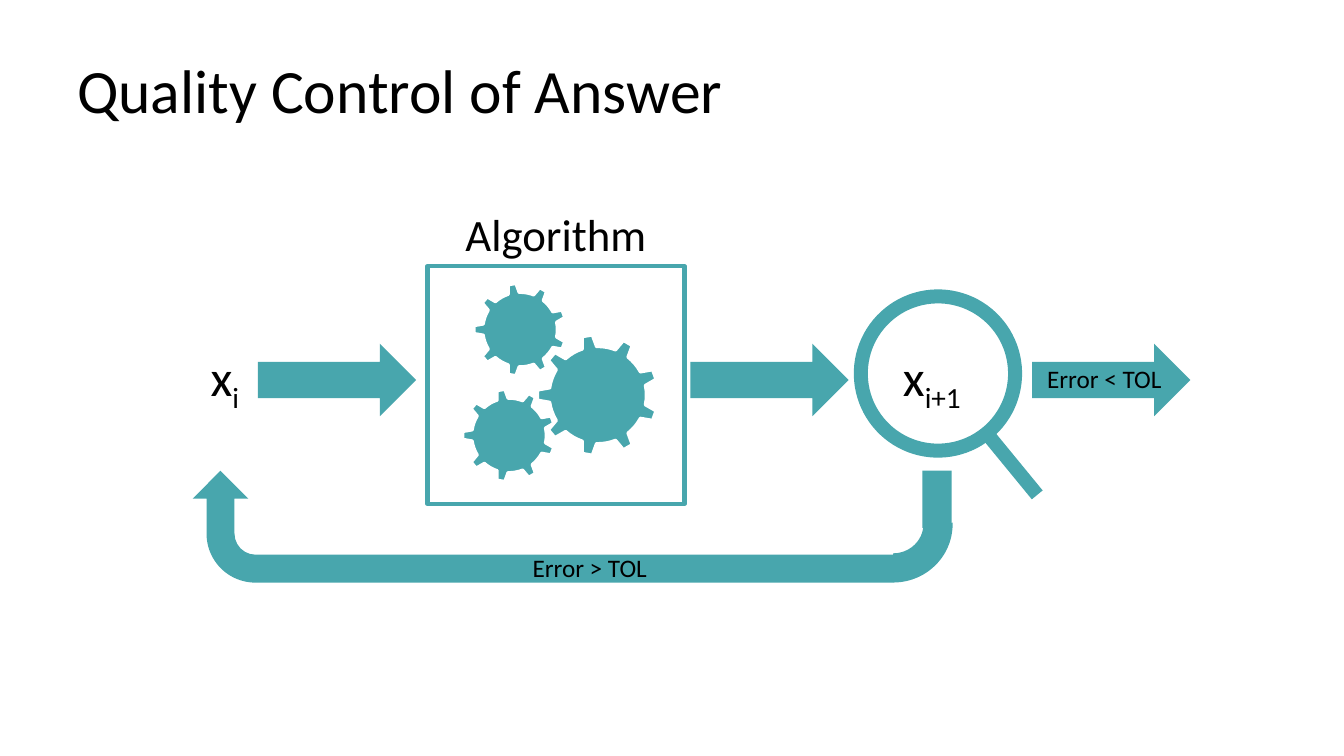
from lxml import etree
from pptx import Presentation
from pptx.dml.color import RGBColor
from pptx.enum.shapes import MSO_CONNECTOR, MSO_SHAPE
from pptx.enum.text import MSO_ANCHOR, MSO_AUTO_SIZE, PP_ALIGN
from pptx.oxml.ns import qn
from pptx.util import Pt

LEFT, CENTER = PP_ALIGN.LEFT, PP_ALIGN.CENTER
TOP, MIDDLE = MSO_ANCHOR.TOP, MSO_ANCHOR.MIDDLE
NO_FIT = MSO_AUTO_SIZE.NONE
ELLIPSE, BOX, GEAR = MSO_SHAPE.OVAL, MSO_SHAPE.RECTANGLE, MSO_SHAPE.GEAR_9
ARROW, BENT_ARROW = MSO_SHAPE.RIGHT_ARROW, MSO_SHAPE.BENT_ARROW
BLOCK_ARC = MSO_SHAPE.BLOCK_ARC
STRAIGHT = MSO_CONNECTOR.STRAIGHT

TEAL, WHITE, BLACK = "48A6AD", "FFFFFF", "000000"
FONT = "Calibri"

# Content: lengths in points
TITLE = ("Quality Control of Answer", (48, 21.6, 864, 90))
LABELS = [  # text, subscript, box, size, alignment
    ("x", "i", (143.3, 243.4, 56.9, 51.1), 36, LEFT),
    ("x", "i+1", (637.9, 243.4, 98.6, 51.1), 36, LEFT),
    ("Algorithm", "", (308.2, 144, 177.8, 46.1), 32, CENTER),
    ("Error < TOL", "", (740.9, 256.3, 161.3, 28.8), 18, LEFT),
    ("Error > TOL", "", (340.6, 391, 161.3, 28.8), 18, CENTER),
]
LENS_SIZE = 110.2
LENS_RINGS = [(609.8, 208.8, WHITE, 15), (614.9, 211.7, TEAL, 10)]
LENS_HANDLE = (704.9, 309.6, 740.9, 353.5)
ALGORITHM_BOX = (305.3, 190.1, 183.6, 169.9)
ARROW_LEFTS = [184.3, 493.2, 737.3]
ARROW_TOP, ARROW_WIDTH, ARROW_HEIGHT = 245.5, 113, 51.8
RETURN_PARTS = [  # kind, box, rotation, adjustments
    (BOX, (658.8, 336.2, 20.9, 41), 0, ()),
    (BENT_ARROW, (347.8, 126, 79.9, 500.4), 270, ()),
    (BLOCK_ARC, (596.2, 331.9, 83.5, 85), 90, (161.22, 0, 0.25)),
]
GEARS = [(383.8, 239, 86.4), (338.4, 202.3, 66.2), (330.5, 277.9, 66.2)]


def color(hex_string):
    return RGBColor.from_string(hex_string)


def set_values(target, **values):
    for name, value in values.items():
        setattr(target, name, value)


def add_shape(shapes, kind, box, fill=None, line=None, width=0, rotation=0,
              adjustments=()):
    shape = shapes.add_shape(kind, *map(Pt, box))
    shape.shadow.inherit = False
    shape.rotation = rotation
    for index, value in enumerate(adjustments):
        shape.adjustments[index] = value
    if fill:
        shape.fill.solid()
        shape.fill.fore_color.rgb = color(fill)
    else:
        shape.fill.background()
    if line:
        shape.line.color.rgb = color(line)
        shape.line.width = Pt(width)
    else:
        shape.line.fill.background()


def add_run(paragraph, text, size):
    run = paragraph.add_run()
    run.text = text
    set_values(run.font, name=FONT, size=Pt(size))
    run.font.color.rgb = color(BLACK)
    return run


def write_text(shape, text, size, alignment, anchor):
    set_values(shape.text_frame, word_wrap=True, auto_size=NO_FIT,
               vertical_anchor=anchor)
    paragraph = shape.text_frame.paragraphs[0]
    paragraph.alignment = alignment
    add_run(paragraph, text, size)
    return paragraph


def add_label(text, subscript, box, size, alignment):
    label = slide.shapes.add_textbox(*map(Pt, box))
    paragraph = write_text(label, text, size, alignment, TOP)
    if subscript:
        run = add_run(paragraph, subscript, size)
        run.font._element.set("baseline", "-25000")


presentation = Presentation()
set_values(presentation, slide_width=Pt(960), slide_height=Pt(540))
slide = presentation.slides.add_slide(presentation.slide_layouts[5])

# Title
title_text, title_box = TITLE
title = slide.shapes.title
set_values(title, **dict(zip(("left", "top", "width", "height"),
                             map(Pt, title_box))))
write_text(title, title_text, 44, LEFT, MIDDLE).line_spacing = 0.9

# Magnifying glass
glass = slide.shapes.add_group_shape().shapes
for left, top, ring_color, width in LENS_RINGS:
    add_shape(glass, ELLIPSE, (left, top, LENS_SIZE, LENS_SIZE),
              line=ring_color, width=width, rotation=321)
handle = glass.add_connector(STRAIGHT, *map(Pt, LENS_HANDLE))
handle.line.color.rgb = color(TEAL)
handle.line.width = Pt(10)
etree.SubElement(handle._element.spPr, qn("a:effectLst"))

# Algorithm box and forward arrows
add_shape(slide.shapes, BOX, ALGORITHM_BOX, line=TEAL, width=3)
for left in ARROW_LEFTS:
    add_shape(slide.shapes, ARROW,
              (left, ARROW_TOP, ARROW_WIDTH, ARROW_HEIGHT), fill=TEAL)

# Return path
for kind, box, rotation, adjustments in RETURN_PARTS:
    add_shape(slide.shapes, kind, box, fill=TEAL, rotation=rotation,
              adjustments=adjustments)

# Gears
for left, top, size in GEARS:
    add_shape(slide.shapes, GEAR, (left, top, size, size), fill=TEAL,
              line=WHITE, width=2, rotation=270)

# Labels
for label in LABELS:
    add_label(*label)

presentation.save("out.pptx")
